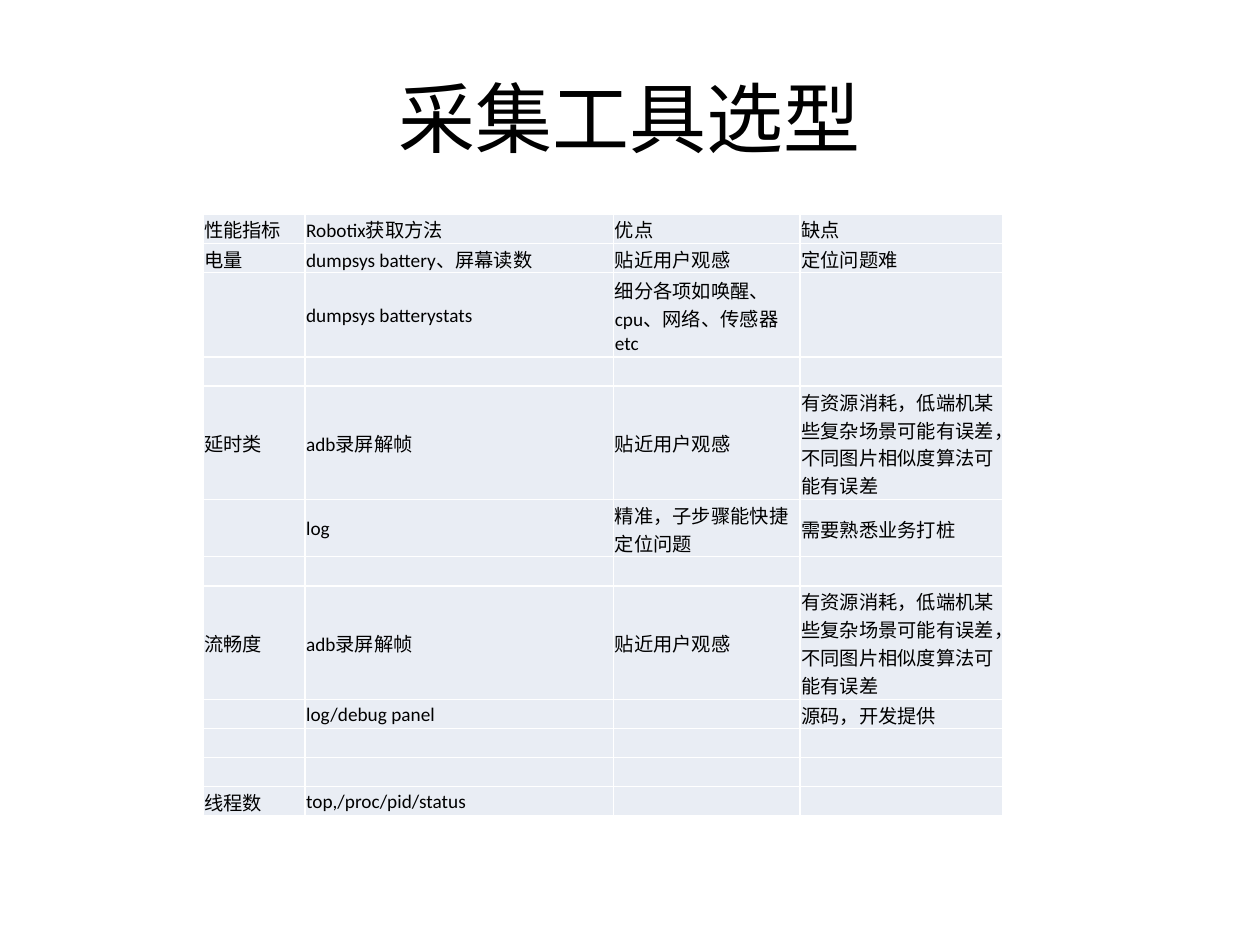
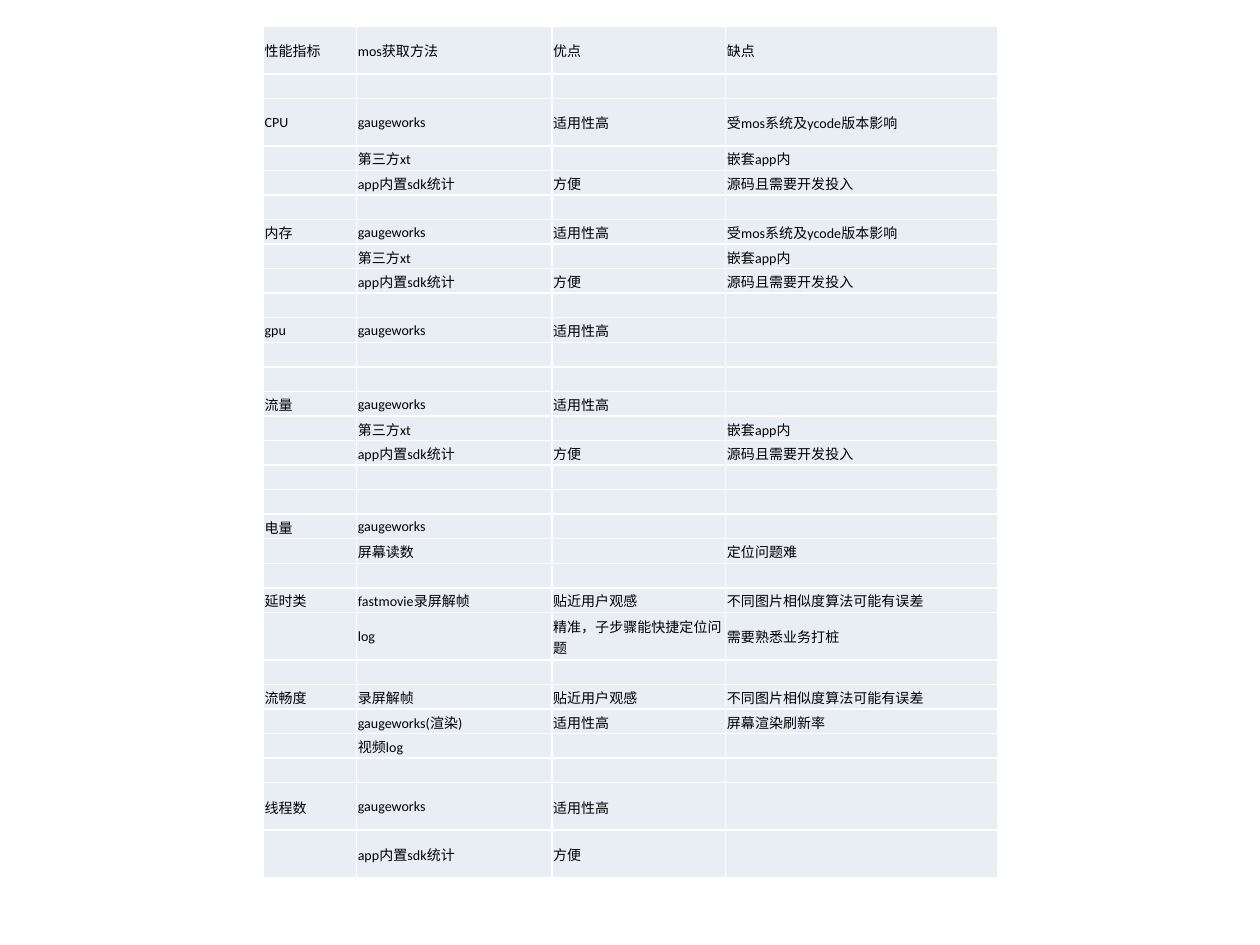
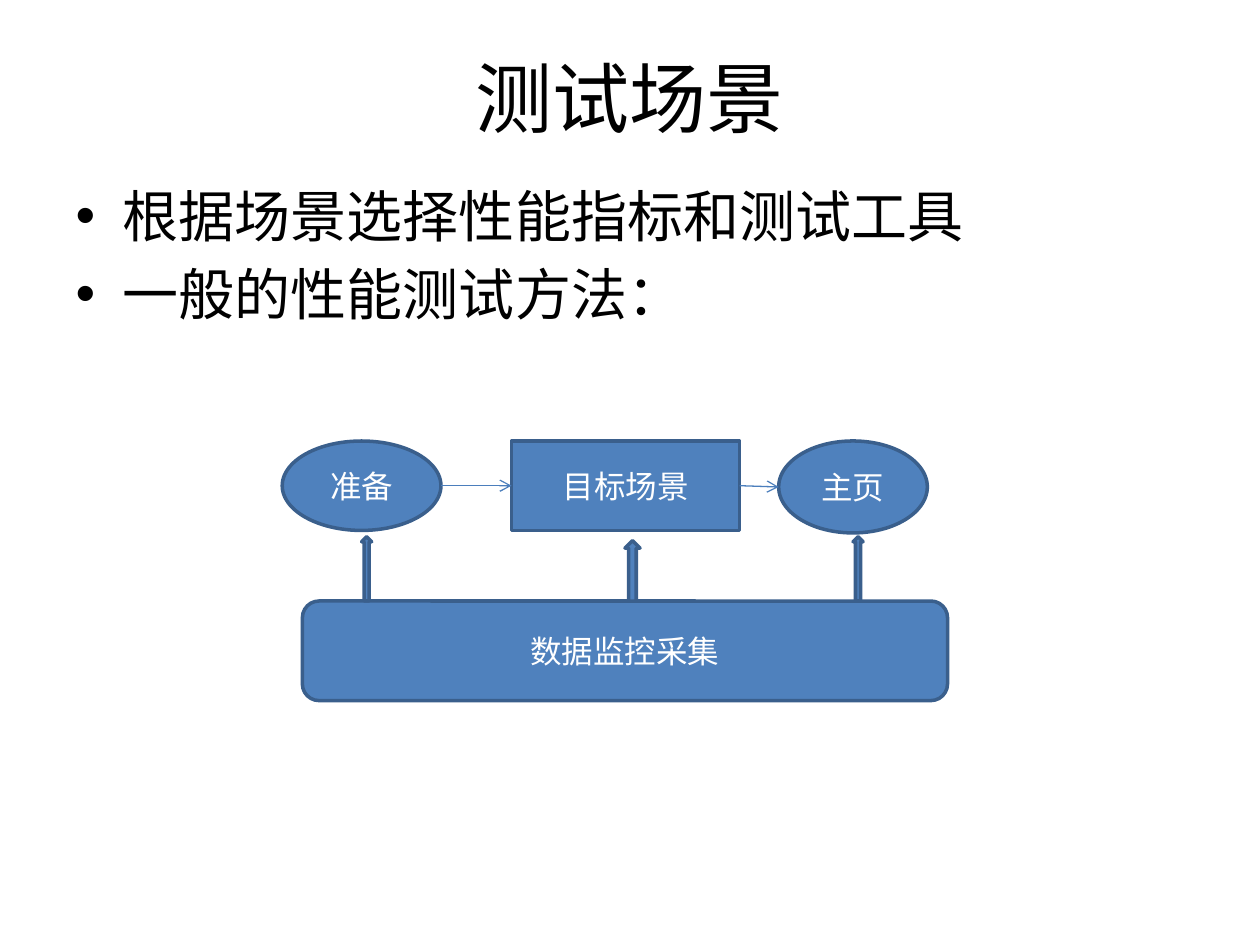
from dataclasses import dataclass

from lxml import etree
from pptx import Presentation
from pptx import util as u
from pptx.dml.color import RGBColor
from pptx.enum import shapes, text
from pptx.oxml.ns import qn

WIDTH, HEIGHT = u.Inches(10), u.Inches(7.5)
COLUMNS, ROWS = 100, 75


@dataclass(frozen=True)
class Theme:
    font: str = "Calibri"
    ink: str = "000000"
    paper: str = "FFFFFF"
    cell: str = "E9EDF4"
    accent: str = "4F81BD"
    outline: str = "3A5F8C"
    link: str = "4B7EBC"
    title_size: float = 44
    body_size: float = 32
    shape_size: float = 18
    first_table_size: int = 11
    second_table_size: int = 8
    outline_width: float = 2
    link_width: float = 0.75
    border_width: float = 1


THEME = Theme()

BLANK = ()
HEADINGS = ("优点", "缺点")
PROFILER = "gaugeworks"
EASY = "适用性高"
CLOSE = "贴近用户观感"
PRECISE = "精准\uff0c子步骤能快捷定位问题"
STUBS = "需要熟悉业务打桩"
HARD = "定位问题难"
ALGORITHM = "不同图片相似度算法可能有误差"
RECORDING = ("adb录屏解帧", CLOSE,
             "有资源消耗\uff0c低端机某些复杂场景可能有误差\uff0c" + ALGORITHM)
VERSIONS = "受mos系统及ycode版本影响"
EMBEDDED = ("", "app内置sdk统计", "方便")
THIRD_PARTY = [("", "第三方xt", "", "嵌套app内"),
               EMBEDDED + ("源码且需要开发投入",)]

FIRST_PLATFORM = [
    ("性能指标", "Robotix获取方法", *HEADINGS),
    ("电量", "dumpsys battery、屏幕读数", CLOSE, HARD),
    ("", "dumpsys batterystats", "细分各项如唤醒、cpu、网络、传感器etc"),
    BLANK,
    ("延时类", *RECORDING),
    ("", "log", PRECISE, STUBS),
    BLANK,
    ("流畅度", *RECORDING),
    ("", "log/debug panel", "", "源码\uff0c开发提供"),
    BLANK,
    BLANK,
    ("线程数", "top,/proc/pid/status"),
]

SECOND_PLATFORM = [
    ("性能指标", "mos获取方法", *HEADINGS),
    BLANK,
    ("CPU", PROFILER, EASY, VERSIONS),
    *THIRD_PARTY,
    BLANK,
    ("内存", PROFILER, EASY, VERSIONS),
    *THIRD_PARTY,
    BLANK,
    ("gpu", PROFILER, EASY),
    BLANK,
    BLANK,
    ("流量", PROFILER, EASY),
    *THIRD_PARTY,
    BLANK,
    BLANK,
    ("电量", PROFILER),
    ("", "屏幕读数", "", HARD),
    BLANK,
    ("延时类", "fastmovie录屏解帧", CLOSE, ALGORITHM),
    ("", "log", PRECISE, STUBS),
    BLANK,
    ("流畅度", "录屏解帧", CLOSE, ALGORITHM),
    ("", PROFILER + "(渲染)", EASY, "屏幕渲染刷新率"),
    ("", "视频log"),
    BLANK,
    ("线程数", PROFILER, EASY),
    EMBEDDED,
]


def across(columns):
    return round(WIDTH * columns / COLUMNS)


def down(rows):
    return round(HEIGHT * rows / ROWS)


def area(left, top, width, height):
    return across(left), down(top), across(width), down(height)


def colour(value):
    return RGBColor.from_string(value)


def format_text(frame, size, ink):
    for para in frame.paragraphs:
        for span in para.runs:
            span.font.name = THEME.font
            span.font.size = u.Pt(size)
            span.font.color.rgb = colour(ink)


def fill_placeholder(box, content, size, place):
    box.left, box.top, box.width, box.height = area(*place)
    box.text_frame.text = content
    format_text(box.text_frame, size, THEME.ink)


def add_title(page, content, height):
    fill_placeholder(page.shapes.title, content, THEME.title_size, (5, 3, 90, height))
    page.shapes.title.text_frame.vertical_anchor = text.MSO_ANCHOR.MIDDLE


def add_borders(cell):
    properties = cell._tc.get_or_add_tcPr()
    for side in ("lnL", "lnR", "lnT", "lnB"):
        line = etree.SubElement(properties, qn("a:" + side),
                                w=str(u.Pt(THEME.border_width)))
        fill = etree.SubElement(line, qn("a:solidFill"))
        etree.SubElement(fill, qn("a:srgbClr"), val=THEME.paper)


def fill_cell(cell, content, size):
    add_borders(cell)
    cell.fill.solid()
    cell.fill.fore_color.rgb = colour(THEME.cell)
    cell.margin_left = cell.margin_right = cell.margin_top = u.Inches(0.01)
    cell.margin_bottom = 0
    cell.vertical_anchor = text.MSO_ANCHOR.MIDDLE
    if content:
        cell.text_frame.text = content
        format_text(cell.text_frame, size, THEME.ink)
    else:
        para = cell.text_frame.paragraphs[0]
        etree.SubElement(para._p, qn("a:endParaRPr"), sz=str(size * 100))


def add_grid(page, records, place, widths, tall_rows, size):
    left, top, height = place
    table = page.shapes.add_table(len(records), len(widths),
                                  *area(left, top, sum(widths), height)).table
    table.first_row = table.horz_banding = False
    for column, width in zip(table.columns, widths):
        column.width = across(width)
    weights = [tall_rows.get(index, 1) for index in range(len(records))]
    for row, weight, record in zip(table.rows, weights, records):
        row.height = down(height * weight / sum(weights))
        for index, cell in enumerate(row.cells):
            fill_cell(cell, record[index] if index < len(record) else "", size)


def add_block(page, kind, place, label=""):
    box = page.shapes.add_shape(kind, *area(*place))
    box.shadow.inherit = False
    box.fill.solid()
    box.fill.fore_color.rgb = colour(THEME.accent)
    box.line.color.rgb = colour(THEME.outline)
    box.line.width = u.Pt(THEME.outline_width)
    if label:
        frame = box.text_frame
        frame.text = label
        frame.vertical_anchor = text.MSO_ANCHOR.MIDDLE
        frame.paragraphs[0].alignment = text.PP_ALIGN.CENTER
        format_text(frame, THEME.shape_size, THEME.paper)
    return box


def add_link(page, source, target):
    link = page.shapes.add_connector(
        shapes.MSO_CONNECTOR.STRAIGHT,
        source.left + source.width, source.top + source.height // 2,
        target.left, target.top + target.height // 2)
    link.line.color.rgb = colour(THEME.link)
    link.line.width = u.Pt(THEME.link_width)
    etree.SubElement(link.line._get_or_add_ln(), qn("a:tailEnd"), type="arrow")
    etree.SubElement(link._element.spPr, qn("a:effectLst"))


def add_flow(page):
    kinds = shapes.MSO_SHAPE
    steps = [add_block(page, kind, place, label) for kind, place, label in (
        (kinds.OVAL, (22.4, 35, 12.6, 7.1), "准备"),
        (kinds.RECTANGLE, (40.6, 35, 18.1, 7.1), "目标场景"),
        (kinds.OVAL, (61.8, 35, 11.8, 7.3), "主页"),
    )]
    for source, target in zip(steps, steps[1:]):
        add_link(page, source, target)
    base = 47.7
    add_block(page, kinds.ROUNDED_RECTANGLE, (24, base, 51.2, 7.9), "数据监控采集")
    for left, width, height in ((28.7, 0.8, 5.1), (49.6, 1.2, 4.8), (67.7, 0.8, 5.1)):
        add_block(page, kinds.UP_ARROW, (left, base - height, width, height))


def main():
    deck = Presentation()
    deck.slide_width, deck.slide_height = WIDTH, HEIGHT
    bullets, title_only, blank = (deck.slide_layouts[index] for index in (1, 5, 6))

    page = deck.slides.add_slide(title_only)
    add_title(page, "采集工具选型", 12.5)
    add_grid(page, FIRST_PLATFORM, (16.1, 17, 47.7), (8.1, 24.5, 14.8, 16.1),
             {2: 2.9, 4: 3.9, 5: 1.95, 7: 3.9}, THEME.first_table_size)

    page = deck.slides.add_slide(blank)
    add_grid(page, SECOND_PLATFORM, (20.9, 2.1, 67.6), (7.4, 15.5, 13.8, 21.6),
             dict.fromkeys((0, 2, 22, 28, 29), 1.93), THEME.second_table_size)

    page = deck.slides.add_slide(bullets)
    add_title(page, "测试场景", 9.3)
    fill_placeholder(page.placeholders[1],
                     "根据场景选择性能指标和测试工具\n一般的性能测试方法\uff1a",
                     THEME.body_size, (5, 13.9, 90, 53.1))
    add_flow(page)

    deck.save("out.pptx")


main()
